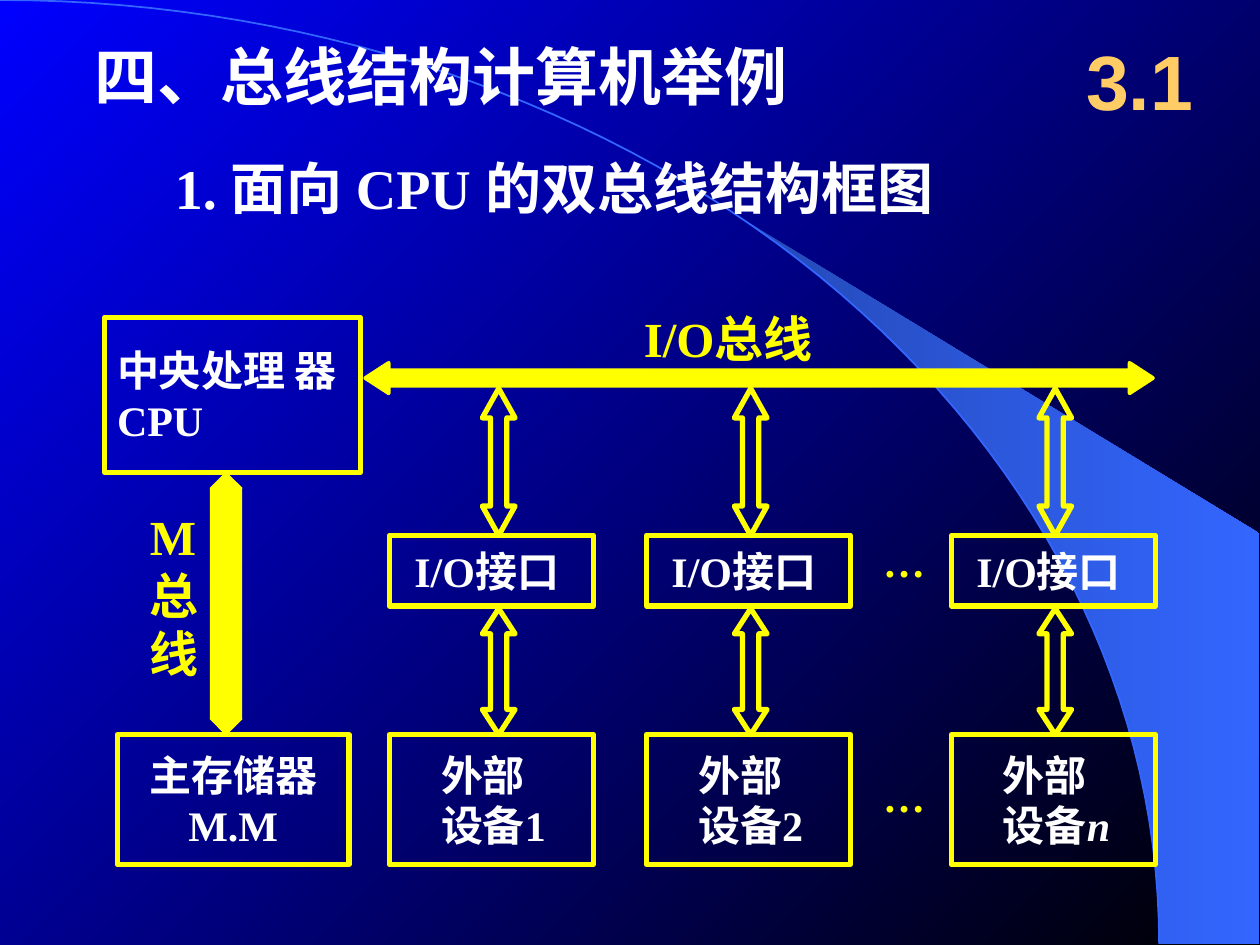
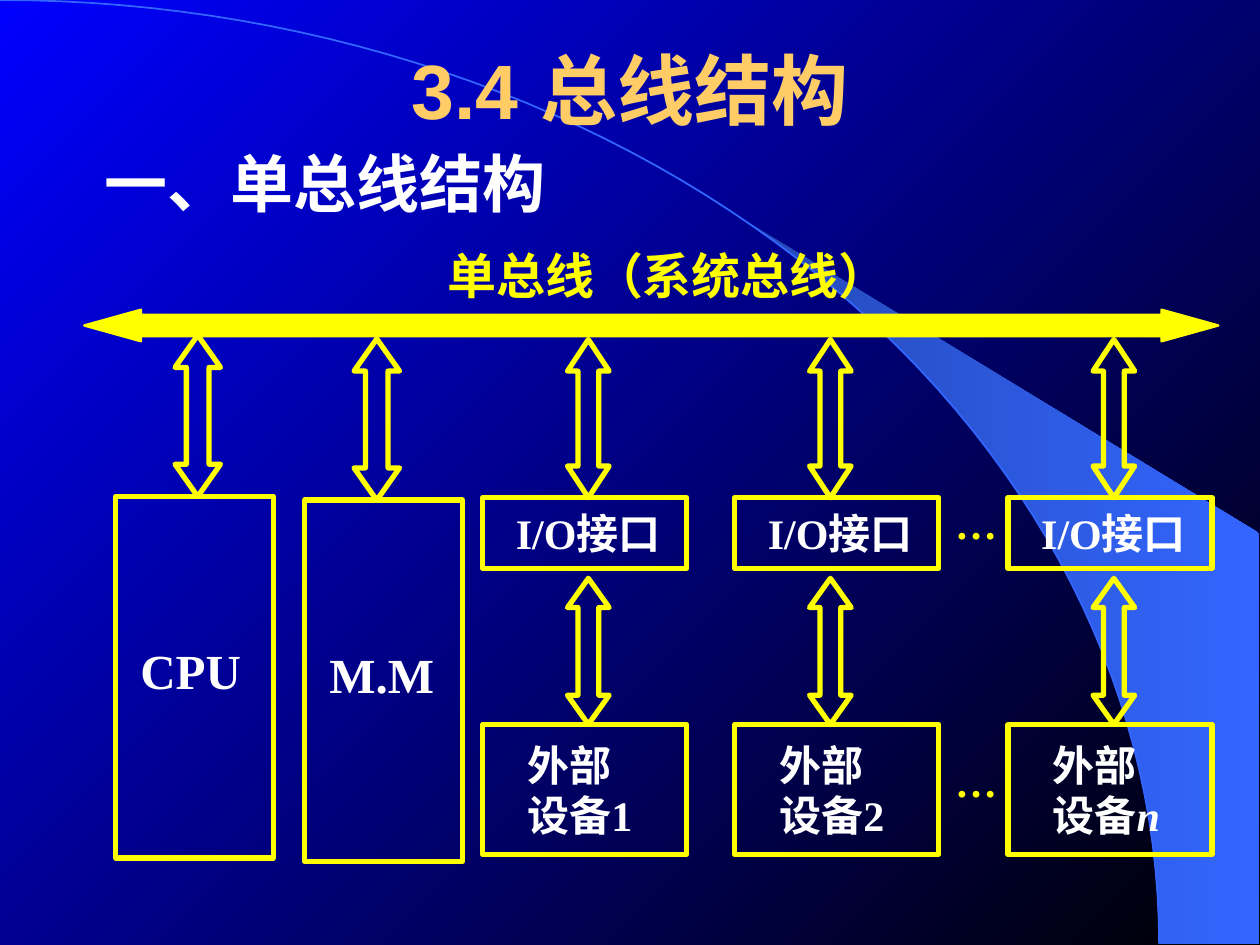
import math
from lxml import etree
from pptx import Presentation
from pptx.dml.color import RGBColor
from pptx.enum.shapes import MSO_SHAPE
from pptx.enum.text import MSO_ANCHOR, PP_ALIGN
from pptx.oxml.ns import qn
from pptx.util import Pt

RECT = MSO_SHAPE.RECTANGLE
H_ARROW, V_ARROW = MSO_SHAPE.LEFT_RIGHT_ARROW, MSO_SHAPE.UP_DOWN_ARROW
MIDDLE, LEFT, CENTER = MSO_ANCHOR.MIDDLE, PP_ALIGN.LEFT, PP_ALIGN.CENTER
SERIF, SANS, CJK = "Times New Roman", "Arial", "Noto Sans CJK SC"

COLORS = {
    "blue": "0000FF", "black": "000000", "band": "2449B6", "arc": "3366FF",
    "white": "FFFFFF", "yellow": "FFFF00", "gold": "FFCC66",
}
WHITE = {"color": "white"}
YELLOW = {"color": "yellow", "margins": (0, 0, 0, 0)}
GOLD = {"color": "gold", "font": SANS, "size": 44, "align": CENTER}
HEADING = {"color": "white", "size": 36}
LINE_PITCH = 1.2
ARC_RX, ARC_RY = 662.4, 539.3
BAND_START = math.asin(0.64)

# Each I/O column: left edge, centre of its arrows, device number, italic number
INTERFACE = "I/O接口"
DEVICE = ("外部", "设备")
BOX_W, IO_H, DEVICE_H = 116.6, 40.3, 74.2
DUAL_BUS = {
    "columns": [(222.5, 285, "1", False), (369.4, 429, "2", False),
                (543.6, 603, "n", True)],
    "bus_y": 222, "io_y": 306, "gap": 1.5, "device_y": 419.8, "arrow_w": 18.7,
    "io_indent": 14.3, "device_indent": 29.5,
    "dots": [(504.7, 306), (504.7, 440.6)],
}
SINGLE_BUS = {
    "columns": [(275.8, 336.2, "1", False), (419.8, 474.5, "2", False),
                (576, 636.5, "n", True)],
    "bus_y": 194, "io_y": 284.4, "gap": 5.8, "device_y": 414, "arrow_w": 23.8,
    "io_indent": 19, "device_indent": 25.5,
    "dots": [(545.8, 284.4), (545.8, 432)],
}
# Tall boxes on the single bus: name, left, top, arrow centre
UNITS = [("CPU", 66.2, 283.7, 113), ("M.M", 174.2, 285.8, 215.3)]
UNIT_W, UNIT_H, UNIT_ARROW_W, UNIT_ARROW_H = 90, 206.6, 26, 92.2


def rgb(name):
    """Return the named colour."""
    return RGBColor.from_string(COLORS[name])


def gradient(fill, names, angle):
    """Give a fill a two-stop gradient."""
    fill.gradient()
    fill.gradient_angle = angle
    for stop, name in zip(fill.gradient_stops, names):
        stop.color.rgb = rgb(name)


def paint(sp, fill=None, line=None, width=3):
    """Set the fill and line of a shape and drop its shadow."""
    sp.shadow.inherit = False
    if fill:
        sp.fill.solid()
        sp.fill.fore_color.rgb = rgb(fill)
    else:
        sp.fill.background()
    if line:
        sp.line.color.rgb = rgb(line)
        sp.line.width = Pt(width)
    else:
        sp.line.fill.background()
    return sp


def write(sp, paras, color, size=24, font=SERIF, align=LEFT,
          margins=(7.2, 3.6, 7.2, 3.6), wrap=True):
    """Write paragraphs, each a string or a list of (text, italic) runs."""
    tf = sp.text_frame
    frame = {"word_wrap": wrap, "vertical_anchor": MIDDLE}
    sides = ("margin_left", "margin_top", "margin_right", "margin_bottom")
    frame.update(zip(sides, map(Pt, margins)))
    for key, value in frame.items():
        setattr(tf, key, value)
    for i, para in enumerate(paras):
        p = tf.add_paragraph() if i else tf.paragraphs[0]
        p.alignment, p.line_spacing = align, Pt(size * LINE_PITCH)
        for text, italic in [(para, False)] if isinstance(para, str) else para:
            r = p.add_run()
            r.text = text
            look = {"name": font, "size": Pt(size), "bold": True, "italic": italic}
            for key, value in look.items():
                setattr(r.font, key, value)
            r.font.color.rgb = rgb(color)
            if any(c > "\u2fff" for c in text):
                latin = r.font._element.find(qn("a:latin"))
                ea = etree.Element(qn("a:ea"), typeface=CJK)
                latin.addnext(ea)


def label(s, at, paras, **look):
    """Add a text box."""
    sp = s.shapes.add_textbox(*map(Pt, at))
    write(sp, paras, **look)


def title(s, at, text, **look):
    """Place and fill the title placeholder."""
    sp = s.shapes.title
    sp.left, sp.top, sp.width, sp.height = map(Pt, at)
    write(sp, [text], **look)


def box(s, at, paras, **look):
    """Add a yellow outlined box with white text."""
    sp = paint(s.shapes.add_shape(RECT, *map(Pt, at)), line="yellow")
    write(sp, paras, **{**WHITE, **look})


def solid_arrow(s, kind, at, head, width):
    """Add a filled preset double arrow."""
    sp = paint(s.shapes.add_shape(kind, *map(Pt, at)), "yellow", "yellow", width)
    sp.adjustments[0], sp.adjustments[1] = 0.5, head


def outline(s, points, close=True):
    """Build a freeform through points."""
    pts = [(Pt(x), Pt(y)) for x, y in points]
    builder = s.shapes.build_freeform(*pts[0], scale=1.0)
    builder.add_line_segments(pts[1:], close=close)
    return builder.convert_to_shape()


def double_arrow(s, mid, start, end, width, head=0.2, shaft=0.5, flat=False):
    """Draw a double arrow along a vertical axis, or a horizontal one if flat."""
    w, n, h = width / 2, width * shaft / 2, (end - start) * head
    a, b = start + h, end - h
    points = [(mid, start), (mid + w, a), (mid + n, a), (mid + n, b),
              (mid + w, b), (mid, end), (mid - w, b), (mid - n, b),
              (mid - n, a), (mid - w, a)]
    return outline(s, [(y, x) for x, y in points] if flat else points)


def arc(start):
    """Sample the quarter ellipse from an angle to its lower end."""
    angles = [start + (math.pi / 2 - start) * i / 60 for i in range(61)]
    return [(ARC_RX * math.sin(t), ARC_RY * (1 - math.cos(t))) for t in angles]


def dress_master(prs, s):
    """Put the background, light band and arc on the master."""
    master = prs.slide_master
    gradient(master.background.fill, ("blue", "black"), 315)
    band = paint(outline(s, arc(BAND_START) + [(719.3, 539.3), (719.3, 304.6)]))
    gradient(band.fill, ("band", "arc"), 0)
    curve = paint(outline(s, arc(0), close=False), line="arc", width=1)
    for i, sp in enumerate((band, curve)):
        master.shapes.element.insert(2 + i, sp.element)


def io_columns(s, bus_y, columns, io_y, gap, device_y, arrow_w, io_indent,
               device_indent, dots):
    """Draw the interfaces and devices that hang from a bus."""
    for x, mid, number, italic in columns:
        for start, end in ((bus_y, io_y), (io_y + IO_H + gap, device_y)):
            paint(double_arrow(s, mid, start, end, arrow_w), line="yellow")
        box(s, (x, io_y, BOX_W, IO_H), [INTERFACE],
            margins=(io_indent, 3.6, 0, 3.6))
        name, kind = DEVICE
        last = [(kind, False), (number, True)] if italic else kind + number
        box(s, (x, device_y, BOX_W, DEVICE_H), [name, last],
            margins=(device_indent, 3.6, 0, 3.6))
    for x, y in dots:
        label(s, (x, y, 30, 28.8), ["…"], **YELLOW)


def dual_bus_slide(s):
    """CPU-centred structure with a memory bus and an I/O bus."""
    title(s, (46.8, 18, 451.4, 50.4), "四、总线结构计算机举例", **HEADING)
    label(s, (92.9, 84.2, 501, 45.4), ["1. 面向 CPU 的双总线结构框图"],
          size=32, **WHITE)
    label(s, (606.2, 12.2, 90, 66.2), ["3.1"], **GOLD)
    box(s, (59.8, 181.4, 146.2, 88.6), ["中央处理 器 CPU"])
    label(s, (367.9, 176.4, 142.6, 33.8), ["I/O总线"], size=28, **YELLOW)
    solid_arrow(s, H_ARROW, (208.8, 207.4, 450, 17.3), 0.77, 2.25)
    label(s, (85.7, 289.4, 33.8, 100.8), ["M", "总", "线"], size=28, **YELLOW)
    solid_arrow(s, V_ARROW, (120.2, 270, 18, 149.8), 0.98, 0.75)
    box(s, (67, 419.8, 132.5, DEVICE_H), ["主存储器", "M.M"], align=CENTER)
    io_columns(s, **DUAL_BUS)


def single_bus_slide(s):
    """Structure in which every unit hangs from one system bus."""
    title(s, (54, 5.8, 612, 90), "3.4 总线结构", **GOLD)
    label(s, (52.6, 79.2, 361.4, 50.4), ["一、单总线结构"], **HEADING)
    label(s, (255.6, 140.4, 253.4, 33.8), ["单总线（系统总线）"],
          size=28, font=CJK, wrap=False, **YELLOW)
    bus = double_arrow(s, 186, 48.2, 696.2, 18, head=0.05, shaft=0.68, flat=True)
    paint(bus, "yellow", "yellow", 1.38)
    for name, x, y, mid in UNITS:
        paint(double_arrow(s, mid, y - UNIT_ARROW_H, y, UNIT_ARROW_W),
              line="yellow")
        box(s, (x, y, UNIT_W, UNIT_H), [name], size=28, margins=(14, 0, 0, 8))
    io_columns(s, **SINGLE_BUS)


prs = Presentation()
prs.slide_width, prs.slide_height = Pt(720), Pt(540)
title_only = prs.slide_layouts[5]
for number, draw in enumerate((dual_bus_slide, single_bus_slide)):
    s = prs.slides.add_slide(title_only)
    if number == 0:
        dress_master(prs, s)
    draw(s)
prs.save("out.pptx")
